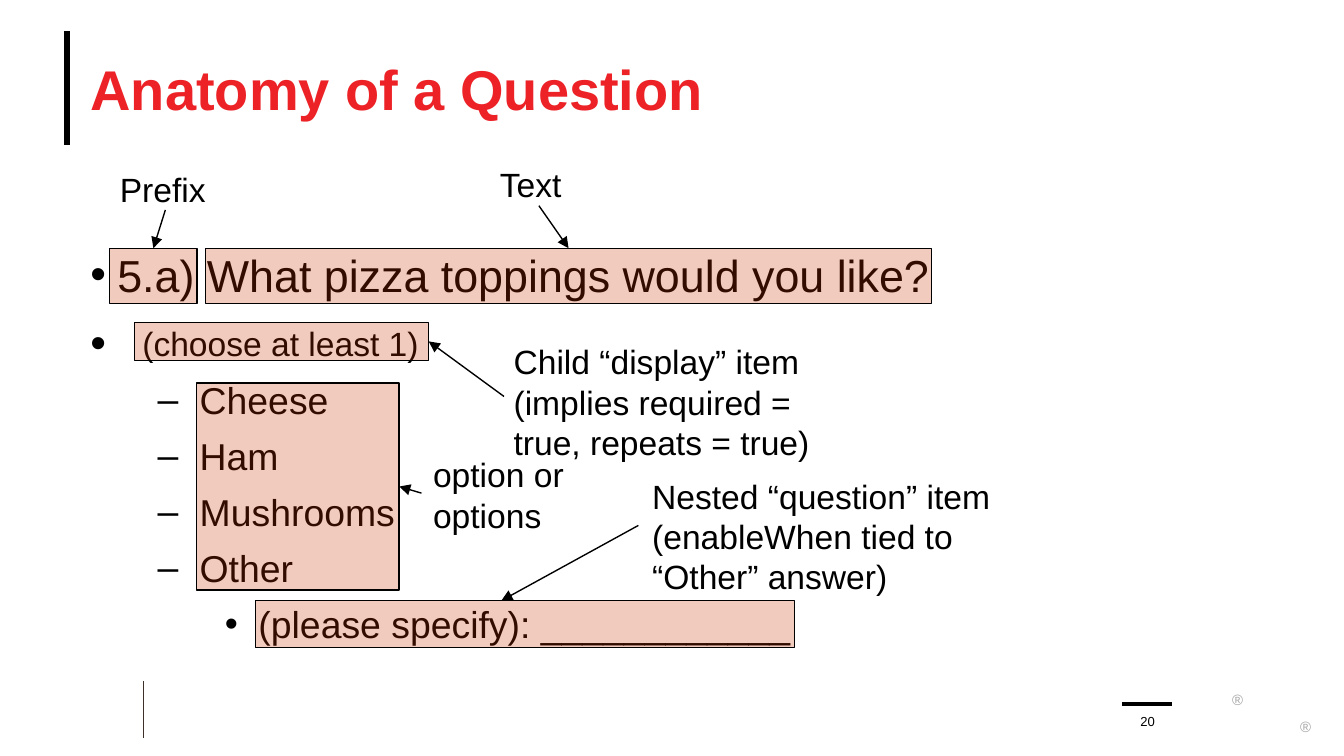
from lxml.etree import SubElement
from pptx import Presentation
from pptx.dml.color import RGBColor
from pptx.enum.shapes import MSO_CONNECTOR as Connector, MSO_SHAPE as Shape
from pptx.enum.text import MSO_ANCHOR as Anchor, PP_ALIGN as Align
from pptx.oxml.ns import qn
from pptx.util import Pt

BLACK, RED, HIGHLIGHT = "000000", "EC2227", "CC3300"


def color(hex_string):
    return RGBColor.from_string(hex_string)


def write(paragraph, text, size=18, fill=BLACK, bold=False, align=Align.LEFT,
          before=0, margin=0, hanging=0, bullet=None, bullet_size=100):
    paragraph.text = text
    paragraph.alignment = align
    paragraph.line_spacing = 1.0
    paragraph.space_before = Pt(before)
    if bullet:
        properties = paragraph._p.get_or_add_pPr()
        properties.set("marL", str(Pt(margin)))
        properties.set("indent", str(-Pt(hanging)))
        SubElement(properties, qn("a:buSzPct"), val=str(bullet_size * 1000))
        SubElement(properties, qn("a:buFont"), typeface="Arial")
        SubElement(properties, qn("a:buChar"), char=bullet)
    for run in paragraph.runs:
        run.font.name = "Arial"
        run.font.size = Pt(size)
        run.font.bold = bold
        run.font.color.rgb = color(fill)


presentation = Presentation()
presentation.slide_width, presentation.slide_height = Pt(720), Pt(405)
slide = presentation.slides.add_slide(presentation.slide_layouts[5])
shapes = slide.shapes

# Title
title = shapes.title
title.left, title.top, title.width, title.height = Pt(48.5), Pt(16.2), Pt(648), Pt(62)
frame = title.text_frame
frame.margin_left = frame.margin_top = frame.margin_right = frame.margin_bottom = 0
frame.vertical_anchor = Anchor.MIDDLE
write(frame.paragraphs[0], "Anatomy of a Question", size=30, fill=RED, bold=True)

# Sample question
question = shapes.add_textbox(Pt(48.5), Pt(132.6), Pt(648), Pt(174))
frame = question.text_frame
frame.word_wrap = True
frame.margin_left = frame.margin_top = frame.margin_right = frame.margin_bottom = 0
option = dict(size=20, before=6, margin=58.5, hanging=22.5, bullet="–")
lines = [
    ("5.a) What pizza toppings would you like?",
     dict(size=24, margin=14.4, hanging=14.4, bullet="•")),
    ("(choose at least 1)",
     dict(before=11.8, margin=27.8, hanging=27.8, bullet="•", bullet_size=133)),
    ("Cheese", option | dict(before=7.3)),
    ("Ham", option),
    ("Mushrooms", option),
    ("Other", option),
    ("(please specify): ____________",
     dict(size=20, before=6, margin=90, hanging=18, bullet="•")),
]
for index, (text, style) in enumerate(lines):
    paragraph = frame.add_paragraph() if index else frame.paragraphs[0]
    write(paragraph, text, **style)

# Callouts: highlight box, label text, label box, arrow start, arrow end, joined side
callouts = [
    ((136.8, 321.8, 288.7, 25.2), "Nested “question” item (enableWhen tied to “Other” answer)",
     (344.4, 252, 193.7, 64), (342, 281.5), (268.6, 321.8), None),
    ((105.4, 205.2, 108.5, 110.9), "option or options",
     (227, 240.5, 85, 46), (225.8, 264.2), (213.9, 260.6), 3),
    ((72, 172.8, 157.7, 20.2), "Child “display” item\v(implies required = true, repeats = true)",
     (270.2, 180, 188, 62), (270, 212.4), (229.7, 182.9), 3),
    ((110.2, 133, 388.8, 29.5), "Text",
     (262.8, 85, 55.4, 25.2), (288.7, 110.2), (304.6, 133), 0),
    ((58.8, 133, 46.8, 29.5), "Prefix",
     (59.2, 87.4, 62, 25.2), (88.6, 112.5), (82.2, 133), 0),
]
for box, label, label_box, start, end, side in callouts:
    highlight = shapes.add_shape(Shape.RECTANGLE, *map(Pt, box))
    highlight.shadow.inherit = False
    highlight.fill.solid()
    highlight.fill.fore_color.rgb = color(HIGHLIGHT)
    solid = highlight._element.spPr.find(qn("a:solidFill"))
    SubElement(solid[0], qn("a:alpha"), val="25000")
    highlight.line.color.rgb = color(BLACK)
    highlight.line.width = Pt(0.75)

    frame = shapes.add_textbox(*map(Pt, label_box)).text_frame
    frame.word_wrap = True
    frame.margin_left = frame.margin_right = Pt(5)
    frame.margin_top = frame.margin_bottom = Pt(2.9)
    write(frame.paragraphs[0], label)

    arrow = shapes.add_connector(Connector.STRAIGHT, *map(Pt, start + end))
    if side is not None:
        arrow.end_connect(highlight, side)
    arrow.line.color.rgb = color(BLACK)
    arrow.line.width = Pt(0.75)
    SubElement(arrow.line._get_or_add_ln(), qn("a:tailEnd"), type="triangle")
    SubElement(arrow._element.spPr, qn("a:effectLst"))

# Title bar, footer divider and page number rule
rules = [
    ((36, 16.5, 36, 77.8), BLACK, 3.25),
    ((77, 365, 77, 395.5), "3D3029", 0.5),
    ((601.2, 377.3, 627.8, 377.3), BLACK, 2),
]
for ends, fill, width in rules:
    rule = shapes.add_connector(Connector.STRAIGHT, *map(Pt, ends))
    rule.line.color.rgb = color(fill)
    rule.line.width = Pt(width)
    SubElement(rule._element.spPr, qn("a:effectLst"))

# Page number and footer marks
footer = [
    ("20", (604, 377, 21.6, 13.7), 7, BLACK, Anchor.BOTTOM),
    ("®", (659, 370, 8, 9), 8, "A6A6A6", Anchor.TOP),
    ("®", (695.5, 384.5, 8, 9), 8, "A6A6A6", Anchor.TOP),
]
for text, box, size, fill, anchor in footer:
    frame = shapes.add_textbox(*map(Pt, box)).text_frame
    frame.word_wrap = True
    frame.margin_left = frame.margin_top = frame.margin_right = frame.margin_bottom = 0
    frame.vertical_anchor = anchor
    write(frame.paragraphs[0], text, size=size, fill=fill, align=Align.CENTER)

presentation.save("out.pptx")
